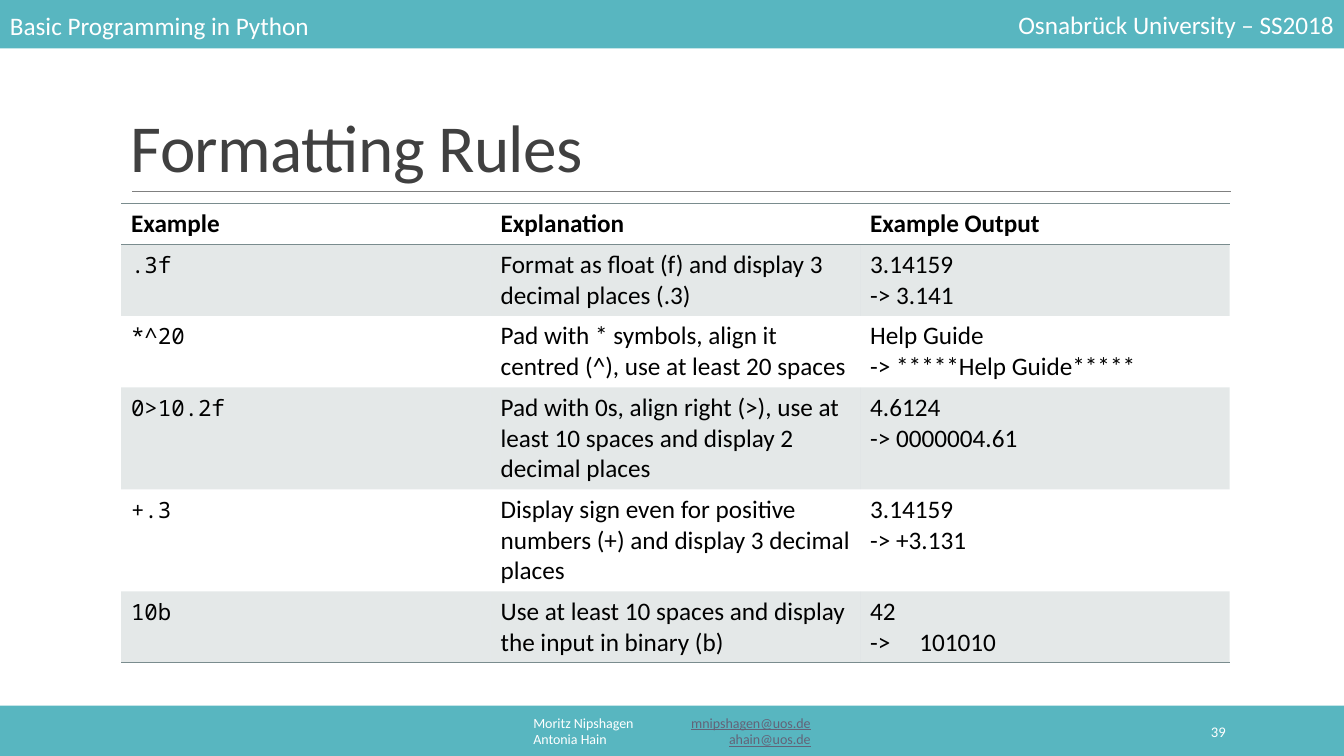
from lxml import etree
from pptx import Presentation
from pptx.dml.color import RGBColor
from pptx.enum.shapes import MSO_CONNECTOR, MSO_SHAPE
from pptx.enum.text import MSO_ANCHOR, PP_ALIGN
from pptx.oxml.ns import qn
from pptx.util import Cm, Pt

LEFT, MID, RIGHT = PP_ALIGN.LEFT, PP_ALIGN.CENTER, PP_ALIGN.RIGHT
CENTER, BOTTOM = MSO_ANCHOR.MIDDLE, MSO_ANCHOR.BOTTOM
RECT, STRAIGHT = MSO_SHAPE.RECTANGLE, MSO_CONNECTOR.STRAIGHT
COLORS = {
    "bar": "58B6C0", "white": "FFFFFF", "link": "636378", "title": "404040",
    "rule": "808080", "edge": "7A8C8E", "text": "000000",
}
SANS, MONO = "Calibri", "Noto Sans Mono"
NO_STYLE = "{2D5ABB26-0587-4C30-8999-92F81FD0307C}"
WIDE, HIGH = 33.87, 19.05
BAR = 1.27
LINE, PAD = 0.77, 0.26  # height of a text line and of the cell margins, cm

HEAD = ("Example", "Explanation", "Example Output")
# format code, explanation, output, lines the row takes
RULES = [
    (".3f", "Format as float (f) and display 3 decimal places (.3)",
     "3.14159\n-> 3.141", 2),
    ("*^20", "Pad with * symbols, align it centred (^), use at least 20 spaces",
     "Help Guide\n-> *****Help Guide*****", 2),
    ("0>10.2f", "Pad with 0s, align right (>), use at least 10 spaces "
     "and display 2 decimal places", "4.6124\n-> 0000004.61", 3),
    ("+.3", "Display sign even for positive numbers (+) and display "
     "3 decimal places", "3.14159\n-> +3.131", 3),
    ("10b", "Use at least 10 spaces and display the input in binary (b)",
     "42\n->\t101010", 2),
]
STAFF = [("Moritz Nipshagen", "mnipshagen@uos.de"),
         ("Antonia Hain", "ahain@uos.de")]


def rgb(name):
    return RGBColor.from_string(COLORS[name])


def add_tab(para, pos, side):
    """Give the paragraph one tab stop, pos in cm."""
    tabs = etree.SubElement(para._p.get_or_add_pPr(), qn("a:tabLst"))
    etree.SubElement(tabs, qn("a:tab"), pos=str(Cm(pos)), algn=side)


class Deck:
    def __init__(self):
        self.prs = Presentation()
        self.prs.slide_width, self.prs.slide_height = Cm(WIDE), Cm(HIGH)
        self.slide = self.prs.slides.add_slide(self.prs.slide_layouts[6])
        self.shapes = self.slide.shapes

    def font(self, run, size, color, face=SANS, bold=False):
        run.font.size, run.font.name, run.font.bold = Pt(size), face, bold
        run.font.color.rgb = rgb(color)

    def fill_text(self, frame, text, size, color, align=LEFT, face=SANS,
                  bold=False):
        frame.text = text
        for para in frame.paragraphs:
            para.alignment = align
            for run in para.runs:
                self.font(run, size, color, face, bold)

    def bar(self, top):
        bar = self.shapes.add_shape(RECT, 0, Cm(top), Cm(WIDE), Cm(BAR))
        bar.shadow.inherit = False
        bar.fill.solid()
        bar.fill.fore_color.rgb = rgb("bar")
        bar.line.fill.background()

    def rule(self, left, right, top):
        line = self.shapes.add_connector(
            STRAIGHT, Cm(left), Cm(top), Cm(right), Cm(top))
        line.line.color.rgb, line.line.width = rgb("rule"), Pt(0.5)
        etree.SubElement(line._element.spPr, qn("a:effectLst"))

    def label(self, box, text, size, color="white", align=LEFT, anchor=CENTER):
        frame = self.shapes.add_textbox(*map(Cm, box)).text_frame
        frame.word_wrap, frame.vertical_anchor = True, anchor
        self.fill_text(frame, text, size, color, align)
        return frame

    def title(self, box, text):
        para = self.label(box, text, 48, "title", anchor=BOTTOM).paragraphs[0]
        para.line_spacing = 0.85
        para.runs[0]._r.get_or_add_rPr().set("spc", "-50")

    def staff(self, box, people):
        names = "\n".join(name + "\t" for name, mail in people)
        frame = self.label(box, names, 10, align=MID)
        for para, (name, mail) in zip(frame.paragraphs, people):
            add_tab(para, 6.99, "r")
            run = para.add_run()
            run.text = mail
            self.font(run, 10, "link")
            run.font.underline = True

    def edges(self, cell, sides):
        """Draw cell borders; sides are XML tags in schema order."""
        props = cell._tc.get_or_add_tcPr()
        for spot, side in enumerate(sides):
            line = etree.Element(qn(side), w=str(Pt(1)))
            fill = etree.SubElement(line, qn("a:solidFill"))
            etree.SubElement(fill, qn("a:srgbClr"), val=COLORS["edge"])
            props.insert(spot, line)

    def shade(self, cell, band):
        if not band:
            cell.fill.background()
            return
        cell.fill.solid()
        cell.fill.fore_color.rgb = rgb("edge")
        tint = cell._tc.tcPr.find(".//" + qn("a:srgbClr"))
        etree.SubElement(tint, qn("a:alpha"), val="20000")

    def table(self, left, top, width, head, rules):
        lines = [1] + [rule[-1] for rule in rules]
        rows = [head] + [rule[:-1] for rule in rules]
        sizes = [Cm(PAD + LINE * count) for count in lines]
        table = self.shapes.add_table(
            len(rows), len(head), Cm(left), Cm(top), Cm(width), sum(sizes)).table
        table.horz_banding = False
        table._tbl.tblPr.find(qn("a:tableStyleId")).text = NO_STYLE
        for r, row in enumerate(rows):
            table.rows[r].height = sizes[r]
            for c, text in enumerate(row):
                cell = table.cell(r, c)
                code = r > 0 and c == 0
                self.fill_text(cell.text_frame, text, 16 if code else 18, "text",
                               face=MONO if code else SANS, bold=r == 0)
                for para in cell.text_frame.paragraphs:
                    if "\t" in para.text:
                        add_tab(para, 1.24, "l")
                self.shade(cell, r % 2)
                if r == 0:
                    self.edges(cell, ("a:lnT", "a:lnB"))
                elif r == len(rows) - 1:
                    self.edges(cell, ("a:lnB",))


def main():
    deck = Deck()
    deck.rule(3.33, 31.01, 4.83)
    deck.bar(HIGH - BAR)
    deck.staff((10.24, 17.91, 13.39, 1.02), STAFF)
    deck.bar(-0.05)
    deck.label((0, 0.13, 13.39, 1.02), "Basic Programming in Python", 18)
    deck.label((20.48, 0.1, 13.39, 1.02), "Osnabrück University – SS2018", 18,
               align=RIGHT)
    deck.title((3.05, 2.74, 27.94, 2.08), "Formatting Rules")
    deck.table(3.05, 5.13, 27.94, HEAD, RULES)
    deck.label((27.51, 17.93, 3.63, 1.02), "39", 10.5, align=RIGHT)
    deck.prs.save("out.pptx")


if __name__ == "__main__":
    main()
